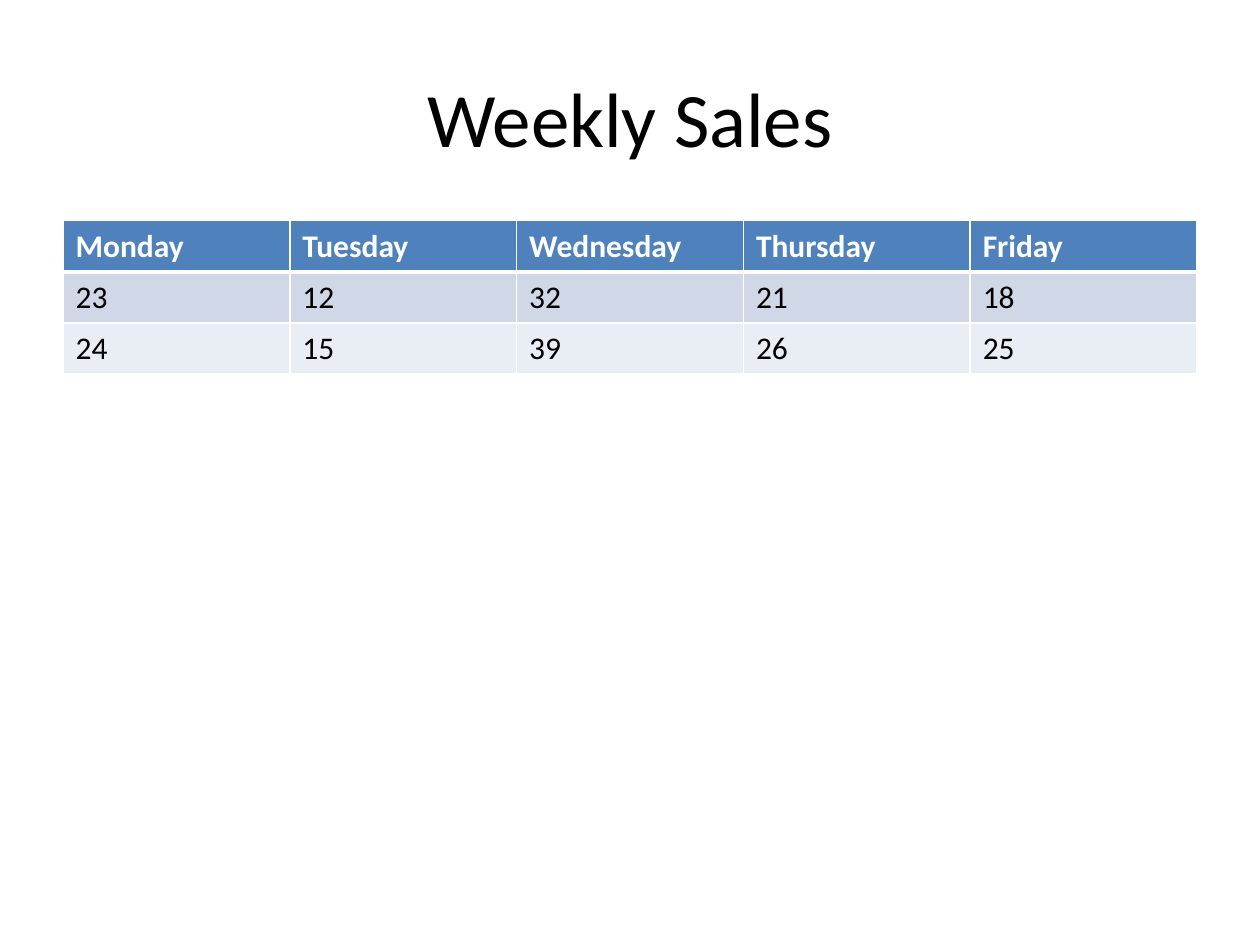
from lxml import etree
from pptx import Presentation
from pptx.dml.color import RGBColor
from pptx.enum import text
from pptx.oxml import ns
from pptx.util import Cm, Pt

FONT = "Calibri"
WHITE = RGBColor(0xFF, 0xFF, 0xFF)
BLACK = RGBColor(0x00, 0x00, 0x00)
BLUE = RGBColor(0x4F, 0x81, 0xBD)
BANDS = [RGBColor(0xD0, 0xD8, 0xE8), RGBColor(0xE9, 0xED, 0xF4)]

SALES = [
    ["Monday", "Tuesday", "Wednesday", "Thursday", "Friday"],
    [23, 12, 32, 21, 18],
    [24, 15, 39, 26, 25],
]


def style(para, size, color, bold=False):
    font = para.font
    font.name, font.size, font.bold = FONT, Pt(size), bold
    font.color.rgb = color


def border(cell, side, width):
    """Draw a white line on one side (L, R, T or B); call before filling."""
    props = cell._tc.get_or_add_tcPr()
    line = etree.SubElement(props, ns.qn(f"a:ln{side}"), w=str(Pt(width)))
    fill = etree.SubElement(line, ns.qn("a:solidFill"))
    etree.SubElement(fill, ns.qn("a:srgbClr"), val=str(WHITE))


def add_title(slide, words, left, top, width, height):
    title = slide.shapes.title
    title.left, title.top, title.width, title.height = left, top, width, height
    frame = title.text_frame
    frame.text = words
    frame.vertical_anchor = text.MSO_ANCHOR.MIDDLE
    para = frame.paragraphs[0]
    para.alignment = text.PP_ALIGN.CENTER
    style(para, 44, BLACK)


def add_sales(slide, data, left, top, width, height):
    frame = slide.shapes.add_table(len(data), len(data[0]), left, top, width, height)
    table = frame.table
    for r, row in enumerate(data):
        head = r == 0
        widths = {"L": 1, "R": 1, "T": 3 if r == 1 else 1, "B": 3 if head else 1}
        for c, value in enumerate(row):
            cell = table.cell(r, c)
            cell.text_frame.text = str(value)
            style(cell.text_frame.paragraphs[0], 18, WHITE if head else BLACK, head)
            for side, size in widths.items():
                border(cell, side, size)
            cell.fill.solid()
            cell.fill.fore_color.rgb = BLUE if head else BANDS[(r - 1) % 2]


def main():
    deck = Presentation()
    deck.slide_width, deck.slide_height = Cm(25.4), Cm(19.05)
    slide = deck.slides.add_slide(deck.slide_layouts[5])
    left, width = Cm(1.27), Cm(22.86)
    add_title(slide, "Weekly Sales", left, Cm(0.76), width, Cm(3.18))
    add_sales(slide, SALES, left, Cm(4.45), width, Cm(3.09))
    deck.save("out.pptx")


if __name__ == "__main__":
    main()
